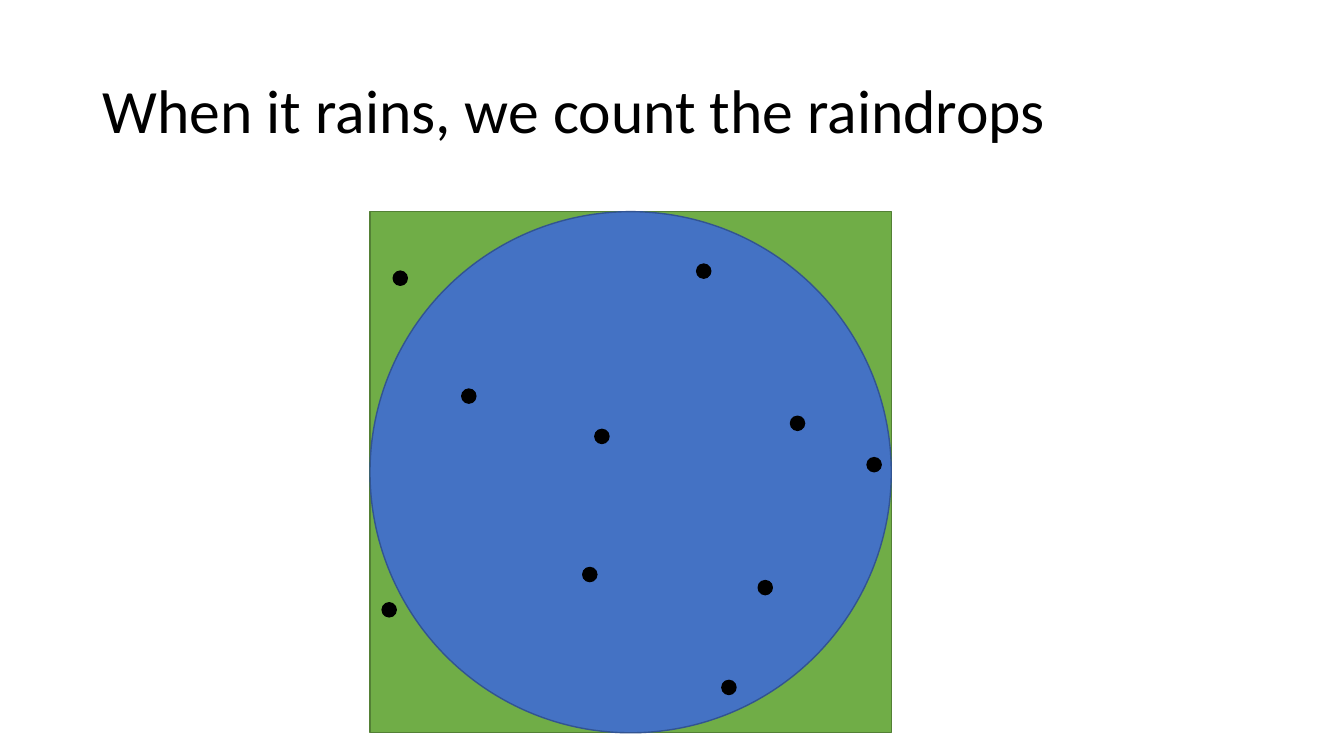
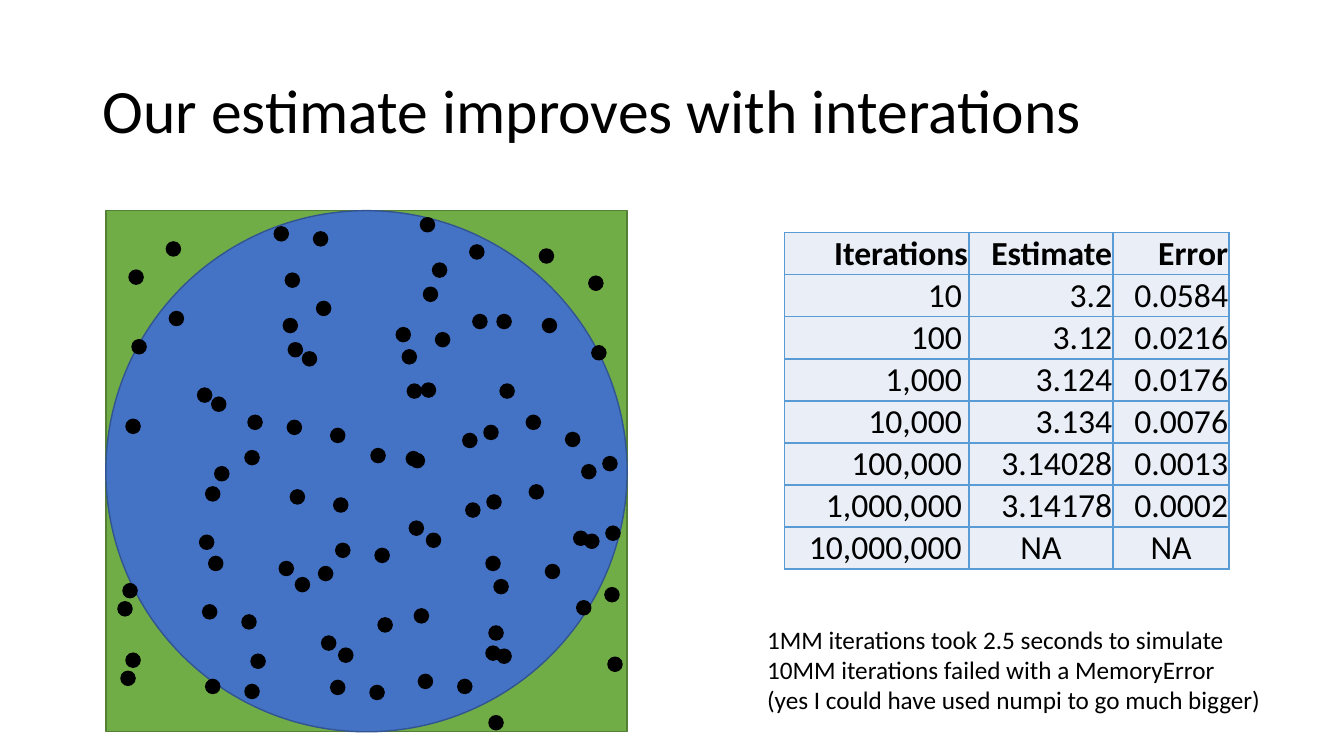
from lxml import etree
from pptx import Presentation
from pptx.dml.color import RGBColor
from pptx.enum.shapes import MSO_SHAPE as Shape
from pptx.enum.text import MSO_ANCHOR as Anchor, MSO_AUTO_SIZE as AutoSize, PP_ALIGN as Align
from pptx.oxml.ns import qn
from pptx.util import Inches, Pt

BLACK = RGBColor(0x00, 0x00, 0x00)
GRASS = RGBColor(0x70, 0xAD, 0x47)
GRASS_EDGE = RGBColor(0x53, 0x80, 0x35)
WATER = RGBColor(0x44, 0x72, 0xC4)
WATER_EDGE = RGBColor(0x32, 0x54, 0x91)
CELL = RGBColor(0xEA, 0xEF, 0xF7)
CELL_EDGE = RGBColor(0x5B, 0x9B, 0xD5)
FONT = "Calibri"

POND_LEFT, POND_TOP, POND_SIZE = 1.05, 2.09, 5.17
DROP_SIZE = 0.14


def style_text(frame, size, bold=False):
    """Give every run in a text frame the deck's font and colour."""
    for para in frame.paragraphs:
        for span in para.runs:
            font = span.font
            font.name, font.size, font.bold = FONT, Pt(size), bold
            font.color.rgb = BLACK


def draw_pond(page, drops, shift_x=0, shift_y=0):
    """Draw a round pond in a square lawn with raindrops on it."""
    parts = [
        (Shape.RECTANGLE, POND_LEFT, POND_TOP, POND_SIZE, GRASS, GRASS_EDGE),
        (Shape.OVAL, POND_LEFT, POND_TOP, POND_SIZE, WATER, WATER_EDGE),
    ]
    parts += [(Shape.OVAL, left, top, DROP_SIZE, BLACK, BLACK) for left, top in drops]
    for kind, left, top, size, fill, edge in parts:
        shape = page.shapes.add_shape(kind, Inches(left + shift_x), Inches(top + shift_y),
                                      Inches(size), Inches(size))
        shape.shadow.inherit = False
        shape.fill.solid()
        shape.fill.fore_color.rgb = fill
        shape.line.color.rgb = edge
        shape.line.width = Pt(1)


# The first shower: left and top of each raindrop
shower = [
    (1.28, 2.68), (4.29, 2.61), (5.98, 4.53), (1.17, 5.97), (1.96, 3.85),
    (3.28, 4.25), (4.54, 6.74), (4.9, 5.75), (3.16, 5.62), (5.22, 4.12),
]

# Each doubling repeats all drops so far, shifted; the listed drops land elsewhere
DOUBLINGS = [
    (0.87, -1.14, {0: (2.4, 6.1), 1: (6, 5.83), 2: (5.35, 2.47),
                   5: (3.99, 3.47), 9: (5.84, 2.74)}),
    (0.03, 0.69, {4: (2.43, 4.47), 6: (4.11, 6.04),
                  15: (4.18, 3.8), 16: (3.67, 6.8)}),
    (-1.18, -0.31, {}),
]
# A drop that falls left of the lawn comes back on the right
RETURN_X, RETURN_Y = 4.83, 0.75
# Some drops get one more neighbour, up and to the left
NEIGHBOUR_X, NEIGHBOUR_Y = -0.39, -0.05
WITH_NEIGHBOUR = (6, 8, 21, 30, 36, 41, 47, 58, 69)

storm = list(shower)
for step_x, step_y, strays in DOUBLINGS:
    repeats = []
    for index, (left, top) in enumerate(storm):
        left, top = strays.get(index, (left + step_x, top + step_y))
        if left < POND_LEFT:
            left, top = left + RETURN_X, top + RETURN_Y
        repeats.append((left, top))
    storm += repeats
storm += [(storm[index][0] + NEIGHBOUR_X, storm[index][1] + NEIGHBOUR_Y)
          for index in WITH_NEIGHBOUR]

# Both slides and their titles
deck = Presentation()
deck.slide_width, deck.slide_height = Inches(13.33), Inches(7.5)
title_only = deck.slide_layouts[5]

pages = []
for heading in ("When it rains, we count the raindrops",
                "Our estimate improves with interations"):
    page = deck.slides.add_slide(title_only)
    title = page.shapes.title
    title.left, title.top = Inches(0.92), Inches(0.4)
    title.width, title.height = Inches(11.5), Inches(1.45)
    frame = title.text_frame
    frame.text = heading
    frame.vertical_anchor = Anchor.MIDDLE
    frame.auto_size = AutoSize.NONE
    frame.paragraphs[0].alignment = Align.LEFT
    frame.paragraphs[0].line_spacing = 0.9
    style_text(frame, 44)
    pages.append(page)
shower_page, estimate_page = pages

# Slide 1: the first shower
draw_pond(shower_page, shower, 2.62, 0.01)

# Slide 2: table of estimates
ROWS = [
    ("Iterations", "Estimate", "Error"),
    ("10", "3.2", "0.0584"),
    ("100", "3.12", "0.0216"),
    ("1,000", "3.124", "0.0176"),
    ("10,000", "3.134", "0.0076"),
    ("100,000", "3.14028", "0.0013"),
    ("1,000,000", "3.14178", "0.0002"),
    ("10,000,000", "NA", "NA"),
]
COLUMN_WIDTHS = (1.83, 1.43, 1.15)
table = estimate_page.shapes.add_table(len(ROWS), len(COLUMN_WIDTHS), Inches(7.78), Inches(2.31),
                                       Inches(sum(COLUMN_WIDTHS)), Inches(3.28)).table
table.first_row = table.horz_banding = False
for column, width in zip(table.columns, COLUMN_WIDTHS):
    column.width = Inches(width)

for row_index, values in enumerate(ROWS):
    for column_index, value in enumerate(values):
        is_header = row_index == 0
        is_count = column_index == 0 and not is_header
        cell = table.cell(row_index, column_index)
        cell.text = value
        cell.vertical_anchor = Anchor.BOTTOM
        cell.margin_left = cell.margin_top = Inches(0.01)
        cell.margin_right = Inches(0.07 if is_count else 0.01)
        cell.margin_bottom = 0
        cell.fill.solid()
        cell.fill.fore_color.rgb = CELL
        cell.text_frame.paragraphs[0].alignment = Align.CENTER if value == "NA" else Align.RIGHT
        style_text(cell.text_frame, 24, is_header)
        properties = cell._tc.get_or_add_tcPr()
        for position, side in enumerate(("a:lnL", "a:lnR", "a:lnT", "a:lnB")):
            border = etree.Element(qn(side), w=str(Pt(1)))
            solid = etree.SubElement(border, qn("a:solidFill"))
            etree.SubElement(solid, qn("a:srgbClr"), val=str(CELL_EDGE))
            properties.insert(position, border)

# Slide 2: remarks under the table
REMARKS = [
    "1MM iterations took 2.5 seconds to simulate",
    "10MM iterations failed with a MemoryError",
    "(yes I could have used numpi to go much bigger)",
]
box = estimate_page.shapes.add_textbox(Inches(7.51), Inches(6.14), Inches(5.16), Inches(1.01))
frame = box.text_frame
frame.word_wrap = False
frame.auto_size = AutoSize.SHAPE_TO_FIT_TEXT
frame.text = "\n".join(REMARKS)
style_text(frame, 18)

# Slide 2: the whole storm
draw_pond(estimate_page, storm)

deck.save("out.pptx")
